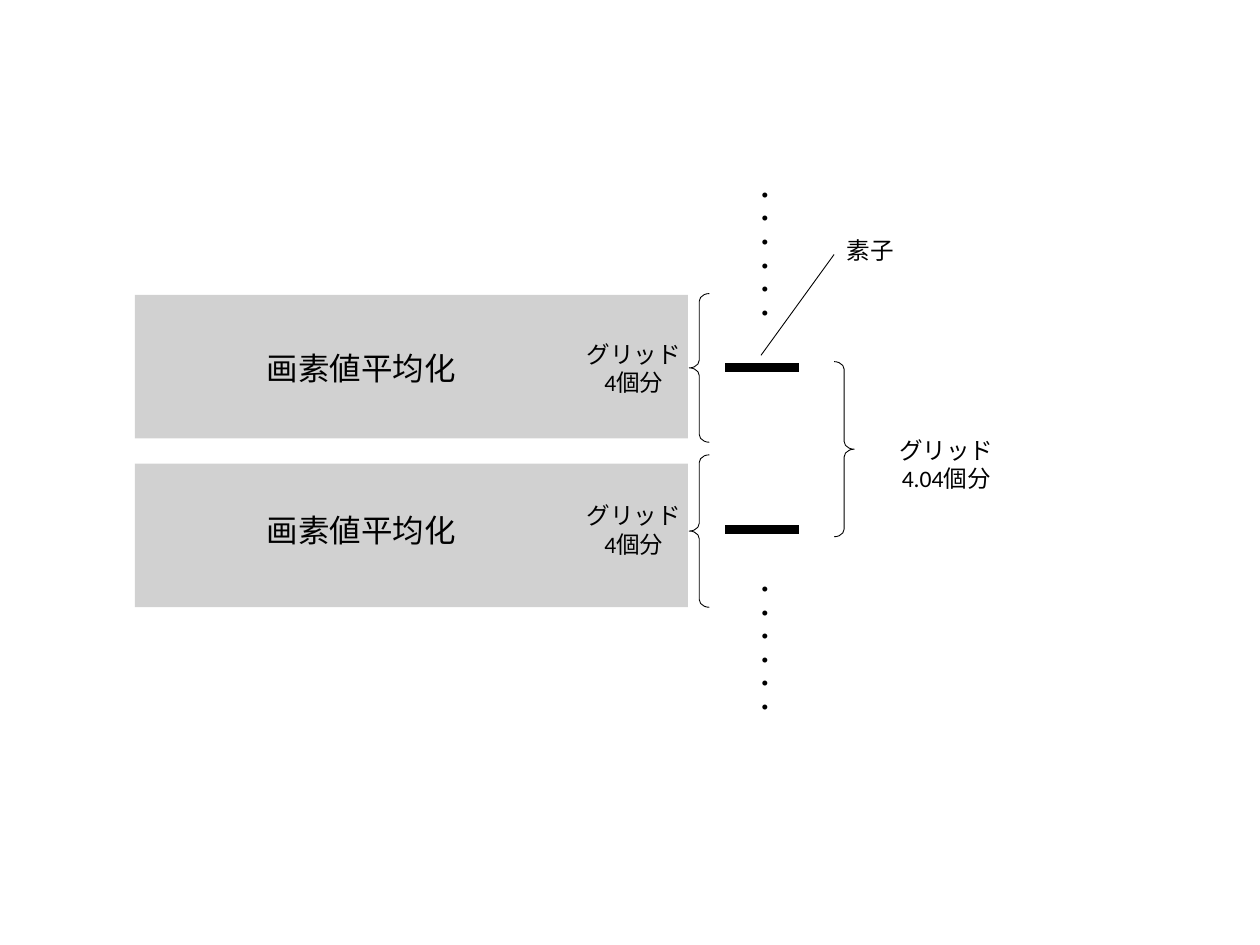
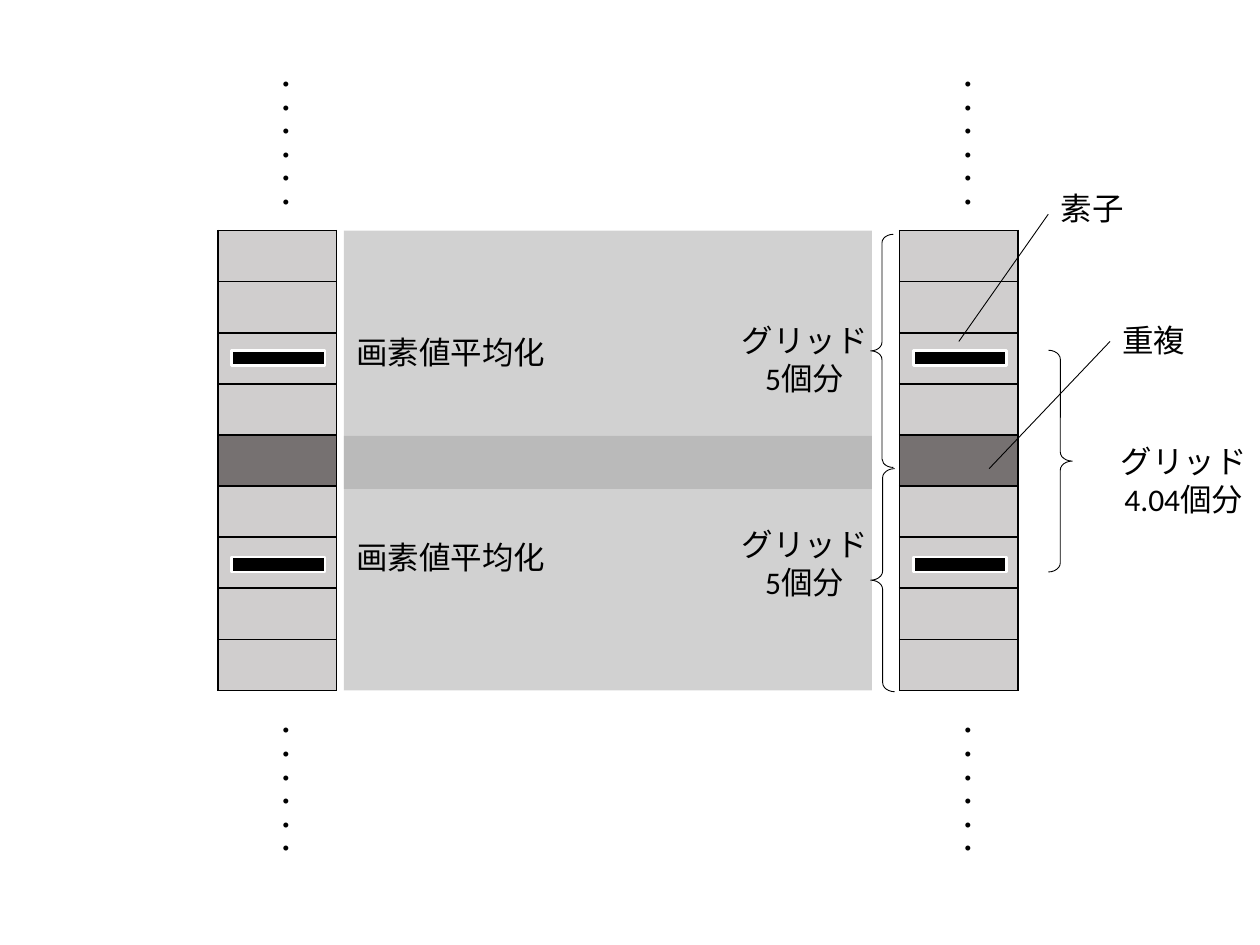
from lxml.etree import SubElement
from pptx import Presentation
from pptx.dml.color import RGBColor
from pptx.enum.shapes import MSO_CONNECTOR, MSO_SHAPE
from pptx.enum.text import MSO_AUTO_SIZE, PP_ALIGN
from pptx.oxml.ns import qn
from pptx.util import Inches, Pt

COLORS = {
    "ink": "000000",
    "outline": "FFFFFF",
    "band": "A5A5A5",
    "cell": "D0CECE",
    "overlap": "767171",
}
FONT = "Calibri"
DOTS = "・・・・・・"
AVERAGE = "画素値平均化"
ELEMENT = "素子"


def draw_shape(slide, kind, box, fill=None, line=None, width=0.5):
    shape = slide.shapes.add_shape(kind, *[Inches(value) for value in box])
    shape.shadow.inherit = False
    if fill:
        shape.fill.solid()
        shape.fill.fore_color.rgb = RGBColor.from_string(COLORS[fill])
    else:
        shape.fill.background()
    if line:
        shape.line.color.rgb = RGBColor.from_string(COLORS[line])
        shape.line.width = Pt(width)
    else:
        shape.line.fill.background()
    return shape


def draw_label(slide, text, box, size, align=PP_ALIGN.LEFT):
    label = slide.shapes.add_textbox(*[Inches(value) for value in box])
    text_frame = label.text_frame
    text_frame.text = text
    text_frame.word_wrap = False
    text_frame.auto_size = MSO_AUTO_SIZE.SHAPE_TO_FIT_TEXT
    for paragraph in text_frame.paragraphs:
        paragraph.alignment = align
        for run in paragraph.runs:
            run.font.size = Pt(size)
            run.font.name = FONT
            run.font.color.rgb = RGBColor.from_string(COLORS["ink"])
    return label


diagrams = [
    {
        "size": 13.5,
        "columns": [],
        "bands": [(1.07, 2.34, 4.39, 1.14), (1.07, 3.68, 4.39, 1.14)],
        "elements": [(5.74, 2.87, 0.61, 0.09), (5.74, 4.16, 0.61, 0.09)],
        "left_braces": [(5.47, 2.33, 0.16, 1.18), (5.47, 3.61, 0.16, 1.21)],
        "right_brace": (6.62, 2.87, 0.16, 1.39),
        "leaders": [(6.04, 2.82, 6.62, 2.02)],
        "counts": [
            ("グリッド\n4個分", (4.55, 2.65, 0.96, 0.56)),
            ("グリッド\n4個分", (4.55, 3.93, 0.96, 0.56)),
            ("グリッド\n4.04個分", (7.03, 3.41, 0.96, 0.56)),
        ],
        "averages": [(2.02, 2.72, 1.72, 0.4), (2.02, 4.01, 1.72, 0.4)],
        "names": [(ELEMENT, (6.62, 1.82, 0.58, 0.33))],
        "dots": [(5.8, 1.36, 0.43, 1.24), (5.8, 4.49, 0.43, 1.24)],
    },
    {
        "size": 18,
        "columns": [1.73, 7.14],
        "bands": [(2.73, 1.83, 4.19, 2.05), (2.73, 3.46, 4.19, 2.02)],
        "elements": [(left, top, 0.74, 0.12) for left in (1.84, 7.25) for top in (2.78, 4.42)],
        "left_braces": [(6.91, 1.86, 0.18, 1.85), (6.91, 3.72, 0.19, 1.77)],
        "right_brace": (8.32, 2.78, 0.19, 1.76),
        "leaders": [(7.61, 2.71, 8.32, 1.7), (7.85, 3.72, 8.81, 2.71)],
        "counts": [
            ("グリッド\n5個分", (5.78, 2.5, 1.21, 0.71)),
            ("グリッド\n5個分", (5.78, 4.12, 1.21, 0.71)),
            ("グリッド\n4.04個分", (8.79, 3.46, 1.21, 0.71)),
        ],
        "averages": [(2.73, 2.59, 2.09, 0.51), (2.73, 4.22, 2.09, 0.51)],
        "names": [(ELEMENT, (8.32, 1.45, 0.71, 0.4)), ("重複", (8.81, 2.5, 0.71, 0.4))],
        "dots": [(left, top, 0.52, 1.57) for left in (1.91, 7.32) for top in (0.48, 5.61)],
    },
]

ROWS = 9
COLUMN_TOP, COLUMN_WIDTH, COLUMN_HEIGHT = 1.83, 0.94, 3.65

presentation = Presentation()
presentation.slide_width = Inches(10)
presentation.slide_height = Inches(7.5)

for diagram in diagrams:
    slide = presentation.slides.add_slide(presentation.slide_layouts[6])

    for left in diagram["columns"]:
        table = slide.shapes.add_table(
            ROWS, 1, Inches(left), Inches(COLUMN_TOP), Inches(COLUMN_WIDTH), Inches(COLUMN_HEIGHT)
        ).table
        table.first_row = False
        table.horz_banding = False
        for index in range(ROWS):
            table.rows[index].height = Inches(COLUMN_HEIGHT / ROWS)
            cell = table.cell(index, 0)
            cell.margin_top = cell.margin_bottom = 0
            properties = cell._tc.get_or_add_tcPr()
            for side in ("a:lnL", "a:lnR", "a:lnT", "a:lnB"):
                border = SubElement(properties, qn(side), w=str(Pt(1)))
                border_fill = SubElement(border, qn("a:solidFill"))
                SubElement(border_fill, qn("a:srgbClr"), val=COLORS["ink"])
            cell.fill.solid()
            color = "overlap" if index == ROWS // 2 else "cell"
            cell.fill.fore_color.rgb = RGBColor.from_string(COLORS[color])

    for box in diagram["bands"]:
        band = draw_shape(slide, MSO_SHAPE.RECTANGLE, box, fill="band")
        band_color = band._element.spPr.find(".//" + qn("a:srgbClr"))
        SubElement(band_color, qn("a:alpha"), val="50000")

    for box in diagram["elements"]:
        draw_shape(slide, MSO_SHAPE.RECTANGLE, box, "ink", "outline", 1.5)

    braces = [(MSO_SHAPE.LEFT_BRACE, box) for box in diagram["left_braces"]]
    braces.append((MSO_SHAPE.RIGHT_BRACE, diagram["right_brace"]))
    for kind, box in braces:
        brace = draw_shape(slide, kind, box, line="ink")
        brace.adjustments[0] = 0.38

    for ends in diagram["leaders"]:
        leader = slide.shapes.add_connector(
            MSO_CONNECTOR.STRAIGHT, *[Inches(value) for value in ends]
        )
        leader.line.color.rgb = RGBColor.from_string(COLORS["ink"])
        leader.line.width = Pt(0.5)
        SubElement(leader._element.spPr, qn("a:effectLst"))

    for text, box in diagram["counts"]:
        draw_label(slide, text, box, diagram["size"], PP_ALIGN.CENTER)
    for box in diagram["averages"]:
        draw_label(slide, AVERAGE, box, 18)
    for text, box in diagram["names"]:
        draw_label(slide, text, box, diagram["size"])
    for box in diagram["dots"]:
        dots = draw_label(slide, DOTS, box, 13.5)
        dots.text_frame._txBody.bodyPr.set("vert", "eaVert")

presentation.save("out.pptx")
